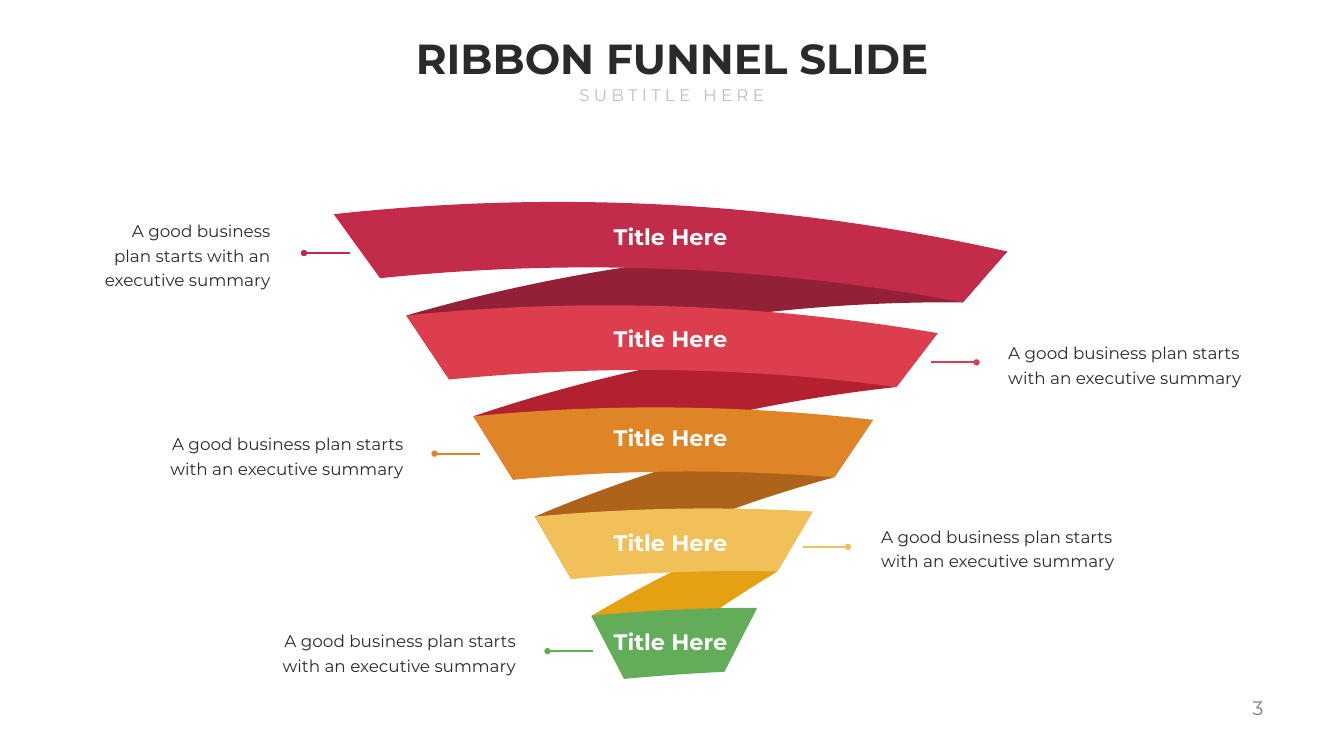
"""Build a five-band ribbon funnel slide with a callout beside each band."""
from dataclasses import dataclass

from lxml.etree import SubElement
from pptx import Presentation
from pptx.dml.color import RGBColor
from pptx.enum.shapes import MSO_CONNECTOR as Connector
from pptx.enum.text import MSO_ANCHOR as Anchor, MSO_AUTO_SIZE as AutoSize, PP_ALIGN as Align
from pptx.oxml.ns import qn
from pptx.util import Inches, Pt

Point = tuple[float, float]
Pair = tuple[Point, Point]

FONT = "Montserrat"
INK = RGBColor(0x2A, 0x2A, 0x2A)
SILVER = RGBColor(0xBF, 0xBF, 0xBF)
GRAY = RGBColor(0x80, 0x80, 0x80)
WHITE = RGBColor(0xFF, 0xFF, 0xFF)
CRIMSON = RGBColor(0xC2, 0x2B, 0x49)
RED = RGBColor(0xDC, 0x3E, 0x4E)
ORANGE = RGBColor(0xE0, 0x84, 0x28)
YELLOW = RGBColor(0xF1, 0xC0, 0x58)
GREEN = RGBColor(0x62, 0xAC, 0x5A)
DARK_CRIMSON = RGBColor(0x92, 0x20, 0x37)
DARK_RED = RGBColor(0xB3, 0x20, 0x2F)
DARK_ORANGE = RGBColor(0xAD, 0x63, 0x19)
DARK_YELLOW = RGBColor(0xE4, 0xA1, 0x13)

BAND_TITLE = "Title Here"
CALLOUT_TEXT = "A good business plan starts with an executive summary"
CURVE_STEPS = 32


@dataclass(frozen=True)
class Bends:
    """Control points of the upper and lower curves, from left to right."""
    upper: Pair
    lower: Pair
    color: RGBColor


@dataclass(frozen=True)
class Callout:
    """Pointer from the band outwards, and the text box at its dotted end."""
    start: Point
    end_x: float
    box: tuple[float, float, float, float]


@dataclass(frozen=True)
class Band:
    """One ribbon band; edges run from top to bottom."""
    left: Pair
    right: Pair
    bends: Bends
    title_top: float
    callout: Callout


BANDS = [
    Band(((6.62, 4.25), (7.54, 5.52)), ((19.98, 4.99), (19.1, 6)),
         Bends(((11.09, 3.76), (15.59, 4.01)), ((11.4, 5.12), (15.28, 5.28)), CRIMSON),
         4.38, Callout((6.94, 5.02), 6.03, (1.61, 4.19, 3.99, 1.67))),
    Band(((8.06, 6.26), (8.91, 7.53)), ((18.6, 6.61), (17.78, 7.68)),
         Bends(((11.58, 5.9), (15.11, 6.02)), ((11.87, 7.24), (14.83, 7.28)), RED),
         6.39, Callout((18.46, 7.19), 19.37, (19.76, 6.61, 5.24, 1.18))),
    Band(((9.39, 8.26), (10.18, 9.52)), ((17.32, 8.33), (16.55, 9.47)),
         Bends(((12.03, 8), (14.68, 8.03)), ((12.3, 9.32), (14.43, 9.3)), ORANGE),
         8.37, Callout((9.52, 9), 8.62, (3, 8.42, 5.24, 1.18))),
    Band(((10.61, 10.25), (11.33, 11.49)), ((16.12, 10.15), (15.42, 11.34)),
         Bends(((12.45, 10.08), (14.28, 10.04)), ((12.69, 11.36), (14.05, 11.31)), YELLOW),
         10.45, Callout((15.92, 10.85), 16.82, (17.24, 10.26, 5.24, 1.18))),
    Band(((11.73, 12.22), (12.38, 13.47)), ((15.02, 12.06), (14.37, 13.33)),
         Bends(((12.82, 12.11), (13.92, 12.06)), ((13.04, 13.41), (13.71, 13.36)), GREEN),
         12.4, Callout((11.77, 12.92), 10.86, (5.23, 12.33, 5.24, 1.18))),
]

FOLDS = [
    Bends(((11.94, 5.14), (15.97, 4.71)), ((12.22, 6.48), (15.65, 5.97)), DARK_CRIMSON),
    Bends(((12.38, 7.25), (15.47, 6.7)), ((12.63, 8.57), (15.18, 7.96)), DARK_RED),
    Bends(((12.77, 9.33), (15.02, 8.7)), ((13, 10.63), (14.75, 9.96)), DARK_ORANGE),
    Bends(((13.13, 11.39), (14.6, 10.7)), ((13.35, 12.68), (14.36, 11.98)), DARK_YELLOW),
]


def curve(start: Point, controls: Pair, end: Point) -> list[Point]:
    """Sample a cubic Bezier curve in EMU to find how far it reaches."""
    def blend(axis: int, t: float) -> int:
        a, b, c, d = (point[axis] for point in (start, *controls, end))
        u = 1 - t
        return Inches(a * u**3 + 3 * b * u * u * t + 3 * c * u * t * t + d * t**3)

    steps = [step / CURVE_STEPS for step in range(CURVE_STEPS + 1)]
    return [(blend(0, t), blend(1, t)) for t in steps]


def draw_ribbon(page, left: Pair, right: Pair, bends: Bends) -> None:
    """Draw a ribbon with straight edges and curved long sides."""
    reach = curve(left[0], bends.upper, right[0]) + curve(left[1], bends.lower, right[1])
    builder = page.shapes.build_freeform(*reach[0])
    builder.add_line_segments(reach[1:], close=True)
    ribbon = builder.convert_to_shape()
    outline = next(ribbon._element.iter(qn("a:path")))
    for step in list(outline):
        outline.remove(step)
    for tag, points in (
        ("a:moveTo", [left[0]]),
        ("a:cubicBezTo", [*bends.upper, right[0]]),
        ("a:lnTo", [right[1]]),
        ("a:cubicBezTo", [*reversed(bends.lower), left[1]]),
        ("a:close", []),
    ):
        step = SubElement(outline, qn(tag))
        for x, y in points:
            SubElement(step, qn("a:pt"), x=str(Inches(x) - ribbon.left),
                       y=str(Inches(y) - ribbon.top))
    ribbon.shadow.inherit = False
    ribbon.fill.solid()
    ribbon.fill.fore_color.rgb = bends.color
    ribbon.line.fill.background()


def draw_pointer(page, callout: Callout, color: RGBColor) -> None:
    """Draw a pointer with a dot at its outer end."""
    x, y = callout.start
    pointer = page.shapes.add_connector(
        Connector.STRAIGHT, Inches(x), Inches(y), Inches(callout.end_x), Inches(y))
    pointer.line.color.rgb = color
    pointer.line.width = Pt(3)
    SubElement(pointer.line._get_or_add_ln(), qn("a:tailEnd"), type="oval")
    SubElement(pointer._element.spPr, qn("a:effectLst"))


def write(box, text: str, size: float, color: RGBColor, align: Align, bold: bool = False,
          wrap: bool = False, anchor: Anchor = Anchor.TOP, spacing: float = 0):
    """Fill a box with one formatted paragraph and return the paragraph."""
    frame = box.text_frame
    frame.word_wrap = wrap
    frame.auto_size = AutoSize.NONE
    frame.vertical_anchor = anchor
    para = frame.paragraphs[0]
    span = para.add_run()
    span.text = text
    if spacing:
        span._r.get_or_add_rPr().set("spc", str(round(spacing * 100)))
    para.alignment = align
    para.font.name = FONT
    para.font.size = Pt(size)
    para.font.bold = bold
    para.font.color.rgb = color
    return para


def add_box(page, left: float, top: float, width: float, height: float):
    """Add an empty text box."""
    return page.shapes.add_textbox(Inches(left), Inches(top), Inches(width), Inches(height))


def draw_callout(page, callout: Callout) -> None:
    """Write the callout text, aligned towards its pointer."""
    box = add_box(page, *callout.box)
    frame = box.text_frame
    frame.margin_left = frame.margin_right = Inches(0.24)
    frame.margin_top = frame.margin_bottom = Inches(0.12)
    align = Align.RIGHT if callout.end_x < callout.start[0] else Align.LEFT
    para = write(box, CALLOUT_TEXT, 24, INK, align, wrap=True, anchor=Anchor.MIDDLE)
    para.line_spacing = Pt(35)
    para.space_before = Pt(4.8)


def main() -> None:
    """Build and save the deck."""
    deck = Presentation()
    deck.slide_width, deck.slide_height = Inches(26.66), Inches(15)
    page = deck.slides.add_slide(deck.slide_layouts[5])

    title = page.shapes.title
    title.left, title.top = Inches(8.1), Inches(0.6)
    title.width, title.height = Inches(10.46), Inches(1.11)
    write(title, "RIBBON FUNNEL SLIDE", 60, INK, Align.CENTER, bold=True)
    write(add_box(page, 11.32, 1.64, 4.01, 0.5), "SUBTITLE HERE", 24, SILVER,
          Align.CENTER, spacing=6)
    write(add_box(page, 24.32, 13.75, 0.84, 0.57), "3", 28, GRAY, Align.RIGHT, spacing=3)

    for band, following, fold in zip(BANDS, BANDS[1:], FOLDS):
        draw_ribbon(page, following.left, band.right, fold)
    for band in reversed(BANDS):
        draw_ribbon(page, band.left, band.right, band.bends)
    for band in BANDS:
        draw_pointer(page, band.callout, band.bends.color)
        write(add_box(page, 12.06, band.title_top, 2.48, 0.64), BAND_TITLE, 32, WHITE,
              Align.CENTER, bold=True, anchor=Anchor.MIDDLE)
        draw_callout(page, band.callout)

    deck.save("out.pptx")


if __name__ == "__main__":
    main()
